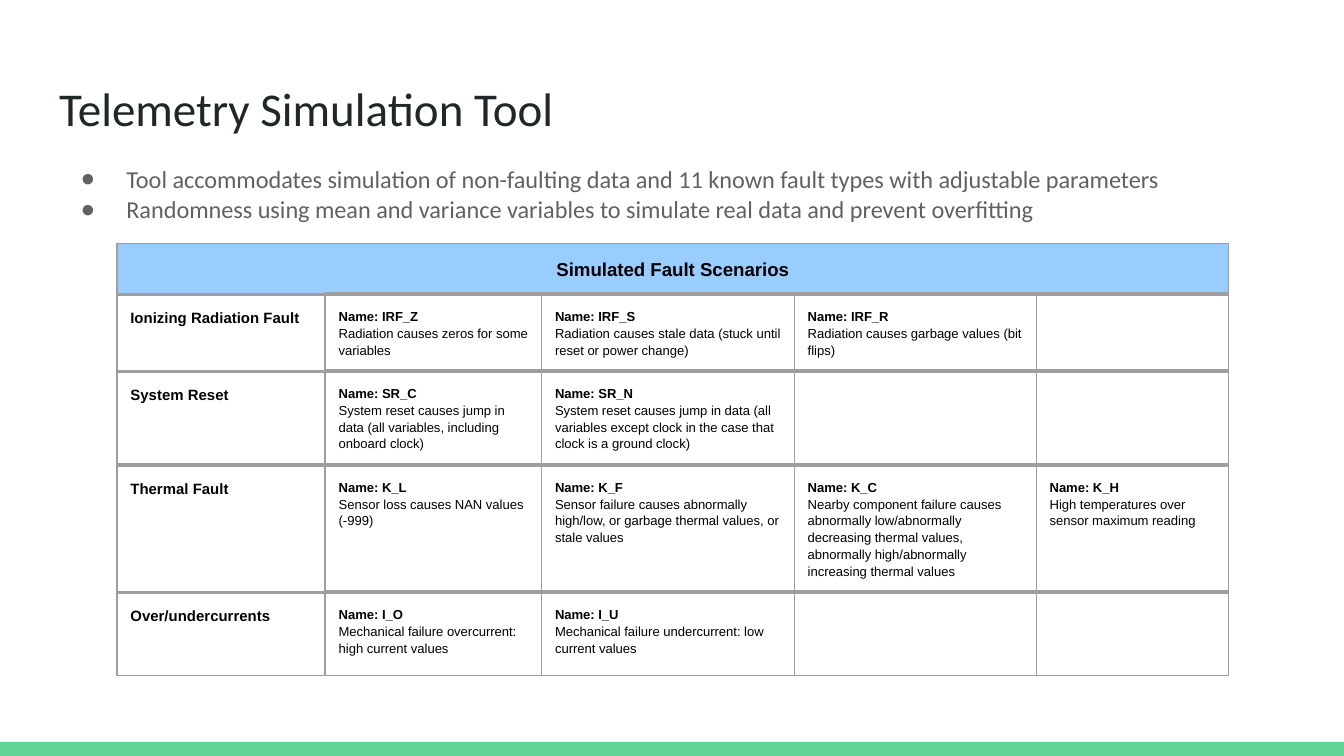
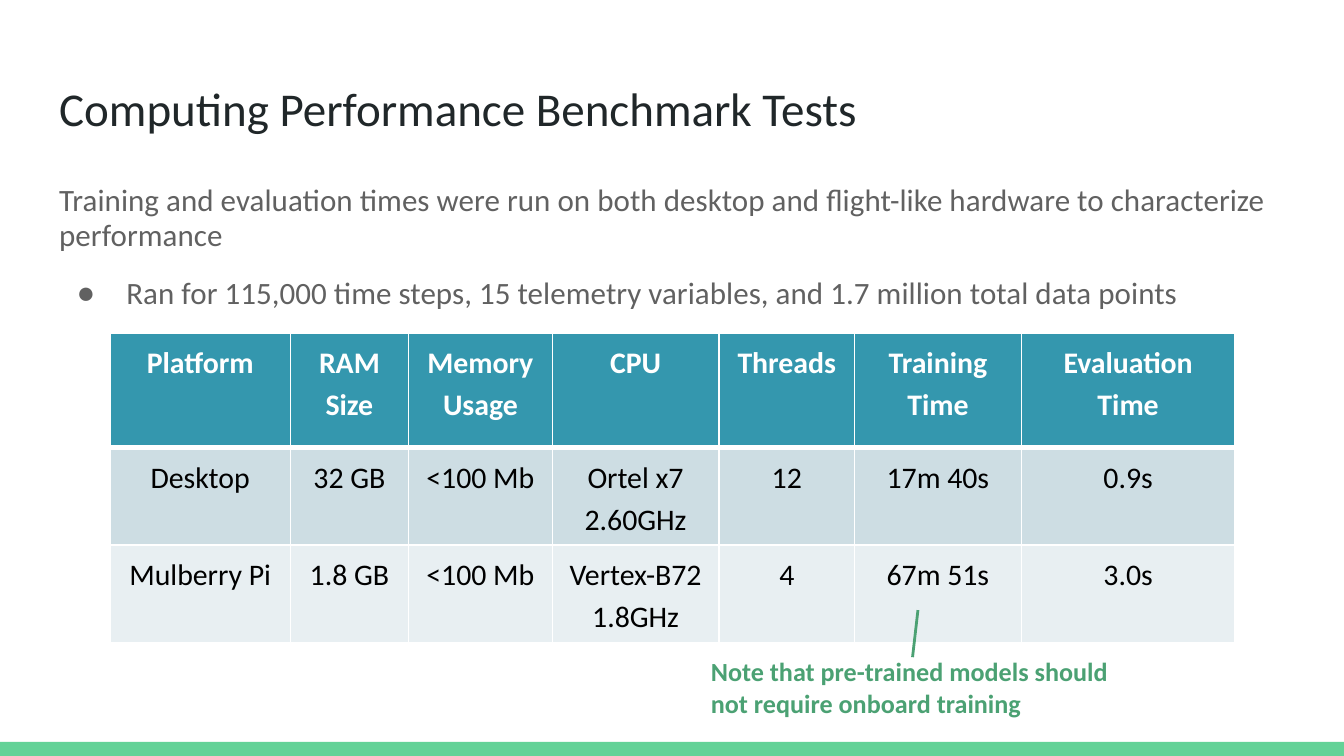
"""Build two slides on fault simulation and computing benchmarks."""
from lxml import etree
from pptx import Presentation, util as u
from pptx.dml.color import RGBColor
from pptx.enum import shapes, text
from pptx.oxml.ns import qn

WHITE = RGBColor(0xFF, 0xFF, 0xFF)
BLACK = RGBColor(0, 0, 0)
INK = RGBColor(0x20, 0x27, 0x29)
GREY = RGBColor(0x61, 0x61, 0x61)
RULE = RGBColor(0x9E, 0x9E, 0x9E)
MINT = RGBColor(0x63, 0xD2, 0x97)
GREEN = RGBColor(0x4B, 0xA1, 0x73)
SKY = RGBColor(0x99, 0xCC, 0xFF)
TEAL = RGBColor(0x34, 0x97, 0xAE)
ROW_TINTS = [RGBColor(0xCD, 0xDD, 0xE3), RGBColor(0xE8, 0xEF, 0xF2)]

FAULTS = [
    ("Ionizing Radiation Fault", [
        ("IRF_Z", "Radiation causes zeros for some variables"),
        ("IRF_S", "Radiation causes stale data (stuck until reset or power change)"),
        ("IRF_R", "Radiation causes garbage values (bit flips)")]),
    ("System Reset", [
        ("SR_C", "System reset causes jump in data (all variables, including onboard clock)"),
        ("SR_N", "System reset causes jump in data (all variables except clock "
                 "in the case that clock is a ground clock)")]),
    ("Thermal Fault", [
        ("K_L", "Sensor loss causes NAN values (-999)"),
        ("K_F", "Sensor failure causes abnormally high/low, or garbage thermal values, "
                "or stale values"),
        ("K_C", "Nearby component failure causes abnormally low/abnormally decreasing "
                "thermal values, abnormally high/abnormally increasing thermal values"),
        ("K_H", "High temperatures over sensor maximum reading")]),
    ("Over/undercurrents", [
        ("I_O", "Mechanical failure overcurrent: high current values"),
        ("I_U", "Mechanical failure undercurrent: low current values")]),
]
BENCHMARKS = [
    ["Platform", "RAM Size", "Memory Usage", "CPU", "Threads", "Training Time", "Evaluation Time"],
    ["Desktop", "32 GB", "<100 Mb", "Ortel x7 2.60GHz", "12", "17m 40s", "0.9s"],
    ["Mulberry Pi", "1.8 GB", "<100 Mb", "Vertex-B72 1.8GHz", "4", "67m 51s", "3.0s"],
]


def apply(target, **values):
    """Set each named attribute on the target."""
    for name, value in values.items():
        setattr(target, name, value)


def place(shape, left, top, width, height):
    """Move and size a shape, in inches."""
    apply(shape, left=u.Inches(left), top=u.Inches(top),
          width=u.Inches(width), height=u.Inches(height))


def set_margins(target):
    """Give a text frame or table cell even margins."""
    margin = u.Inches(0.1)
    apply(target, margin_left=margin, margin_right=margin,
          margin_top=margin, margin_bottom=margin)


def frame_text(frame):
    """Give a text frame wrapped, top-anchored text with even margins."""
    set_margins(frame)
    apply(frame, word_wrap=True, auto_size=text.MSO_AUTO_SIZE.NONE,
          vertical_anchor=text.MSO_ANCHOR.TOP)


def write(frame, lines, size, color, face="Calibri", spacing=1.0, bold=False,
          align=text.PP_ALIGN.LEFT):
    """Write one paragraph per line and return the paragraphs."""
    frame.text = "\n".join(lines)
    for para in frame.paragraphs:
        apply(para, alignment=align, line_spacing=spacing,
              space_before=u.Pt(0), space_after=u.Pt(0))
        for span in para.runs:
            apply(span.font, size=u.Pt(size), name=face, bold=bold)
            span.font.color.rgb = color
    return frame.paragraphs


def set_bullet(para, hang=None):
    """Give a paragraph a hanging round bullet, or none without a hang."""
    props = para._p.get_or_add_pPr()
    props.set("marL", str(u.Inches(0.5 if hang else 0)))
    props.set("indent", str(-u.Inches(hang or 0)))
    if not hang:
        etree.SubElement(props, qn("a:buNone"))
        return
    tint = etree.SubElement(props, qn("a:buClr"))
    etree.SubElement(tint, qn("a:srgbClr"), val=str(GREY))
    etree.SubElement(props, qn("a:buFont"), typeface="Arial")
    etree.SubElement(props, qn("a:buChar"), char="●")


def set_borders(cell, color, left=0.75, right=0.75, top=0.75, bottom=0.75):
    """Draw the four cell borders, with widths in points."""
    props = cell._tc.get_or_add_tcPr()
    sides = {"L": left, "R": right, "T": top, "B": bottom}
    for index, (side, width) in enumerate(sides.items()):
        line = etree.Element(qn(f"a:ln{side}"), w=str(u.Pt(width)))
        fill = etree.SubElement(line, qn("a:solidFill"))
        etree.SubElement(fill, qn("a:srgbClr"), val=str(color))
        props.insert(index, line)


def fill_cell(cell, color=None):
    """Fill a cell, or clear its fill."""
    if color is None:
        cell.fill.background()
    else:
        cell.fill.solid()
        cell.fill.fore_color.rgb = color


def add_grid(page, left, top, widths, heights):
    """Add a plain table with the given column widths and row heights."""
    grid = page.shapes.add_table(
        len(heights), len(widths), u.Inches(left), u.Inches(top),
        u.Inches(sum(widths)), u.Inches(sum(heights))).table
    apply(grid, first_row=False, horz_banding=False)
    for column, width in zip(grid.columns, widths):
        column.width = u.Inches(width)
    for row, height in zip(grid.rows, heights):
        row.height = u.Inches(height)
    return grid


def add_page(deck, title, lines, top, height, size, spacing):
    """Add a page with its title and body text, and return both page and paragraphs."""
    page = deck.slides.add_slide(deck.slide_layouts[1])
    heading, body = page.placeholders
    place(heading, 0.34, 0.49, 9.32, 0.63)
    place(body, 0.34, top, 9.32, height)
    for box in (heading, body):
        frame_text(box.text_frame)
    write(heading.text_frame, [title], 25.2, INK)
    return page, write(body.text_frame, lines, size, GREY, spacing=spacing)


def add_master_band(deck, page):
    """Put the shared bottom band on the slide master."""
    band = page.shapes.add_shape(shapes.MSO_SHAPE.RECTANGLE, 0, 0, 0, 0)
    place(band, 0, 5.52, 10, 0.11)
    band.shadow.inherit = False
    band.fill.solid()
    band.fill.fore_color.rgb = MINT
    band.line.fill.background()
    deck.slide_master.shapes.element.append(band.element)


def add_fault_table(page):
    """Add the table of simulated fault scenarios."""
    grid = add_grid(page, 0.87, 1.81, [1.55, 1.61, 1.88, 1.8, 1.43],
                    [0.35, 0.55, 0.67, 0.94, 0.62])
    grid.cell(0, 0).merge(grid.cell(0, 4))
    for r, row in enumerate(grid.rows):
        for c, cell in enumerate(row.cells):
            set_margins(cell)
            heavy = 1.88 if c == 0 or r == 0 else 2.25
            set_borders(cell, RULE, left=1.5 if r and c == 1 else 0.75,
                        right=1.5 if r and c == 0 else 0.75,
                        top=heavy if r else 0.75,
                        bottom=heavy if r < len(FAULTS) else 0.75)
            fill_cell(cell, None if r else SKY)
    label = {"color": BLACK, "face": "Arial", "spacing": 1.15, "bold": True}
    write(grid.cell(0, 0).text_frame, ["Simulated Fault Scenarios"], 10,
          align=text.PP_ALIGN.CENTER, **label)
    for r, (family, scenarios) in enumerate(FAULTS, 1):
        write(grid.cell(r, 0).text_frame, [family], 8, **label)
        for c, (name, effect) in enumerate(scenarios, 1):
            paras = write(grid.cell(r, c).text_frame, [f"Name: {name}", effect], 7, **label)
            paras[1].runs[0].font.bold = False


def add_benchmark_table(page):
    """Add the table of benchmark results."""
    grid = add_grid(page, 0.82, 2.48, [1.34, 0.88, 1.07, 1.24, 1.01, 1.24, 1.59],
                    [0.85, 0.69, 0.69])
    for r, values in enumerate(BENCHMARKS):
        head = r == 0
        for c, value in enumerate(values):
            cell = grid.cell(r, c)
            set_borders(cell, WHITE, top=3 if r == 1 else 0.75, bottom=3 if head else 0.75)
            fill_cell(cell, TEAL if head else ROW_TINTS[r - 1])
            write(cell.text_frame, [value], 16, WHITE if head else BLACK,
                  spacing=1.15, bold=head, align=text.PP_ALIGN.CENTER)


def add_note(page, message):
    """Add the note and the line that ties it to the training time."""
    box = page.shapes.add_textbox(0, 0, 0, 0)
    place(box, 5.19, 4.78, 3.45, 0.67)
    frame_text(box.text_frame)
    write(box.text_frame, [message], 14, GREEN, bold=True)
    ends = [u.Inches(value) for value in (6.79, 4.89, 6.83, 4.54)]
    pointer = page.shapes.add_connector(shapes.MSO_CONNECTOR.STRAIGHT, *ends)
    pointer.line.color.rgb = GREEN
    pointer.line.width = u.Pt(1.5)
    etree.SubElement(pointer.element.spPr, qn("a:effectLst"))


def main():
    """Build and save the deck."""
    deck = Presentation()
    width = u.Inches(10)
    apply(deck, slide_width=width, slide_height=width * 9 // 16)

    page, paras = add_page(deck, "Telemetry Simulation Tool", [
        "Tool accommodates simulation of non-faulting data and 11 known fault types "
        "with adjustable parameters",
        "Randomness using mean and variance variables to simulate real data "
        "and prevent overfitting"], 1.11, 0.63, 13, 1.05)
    for para in paras:
        set_bullet(para, 0.34)
    add_master_band(deck, page)
    add_fault_table(page)

    page, paras = add_page(deck, "Computing Performance Benchmark Tests", [
        "Training and evaluation times were run on both desktop and flight-like hardware "
        "to characterize performance",
        "Ran for 115,000 time steps, 15 telemetry variables, and 1.7 million total data points",
    ], 1.26, 1.62, 16.65, 0.95)
    paras[1].space_before = u.Pt(12)
    set_bullet(paras[0])
    set_bullet(paras[1], 0.37)
    add_benchmark_table(page)
    add_note(page, "Note that pre-trained models should not require onboard training")

    deck.save("out.pptx")


if __name__ == "__main__":
    main()
